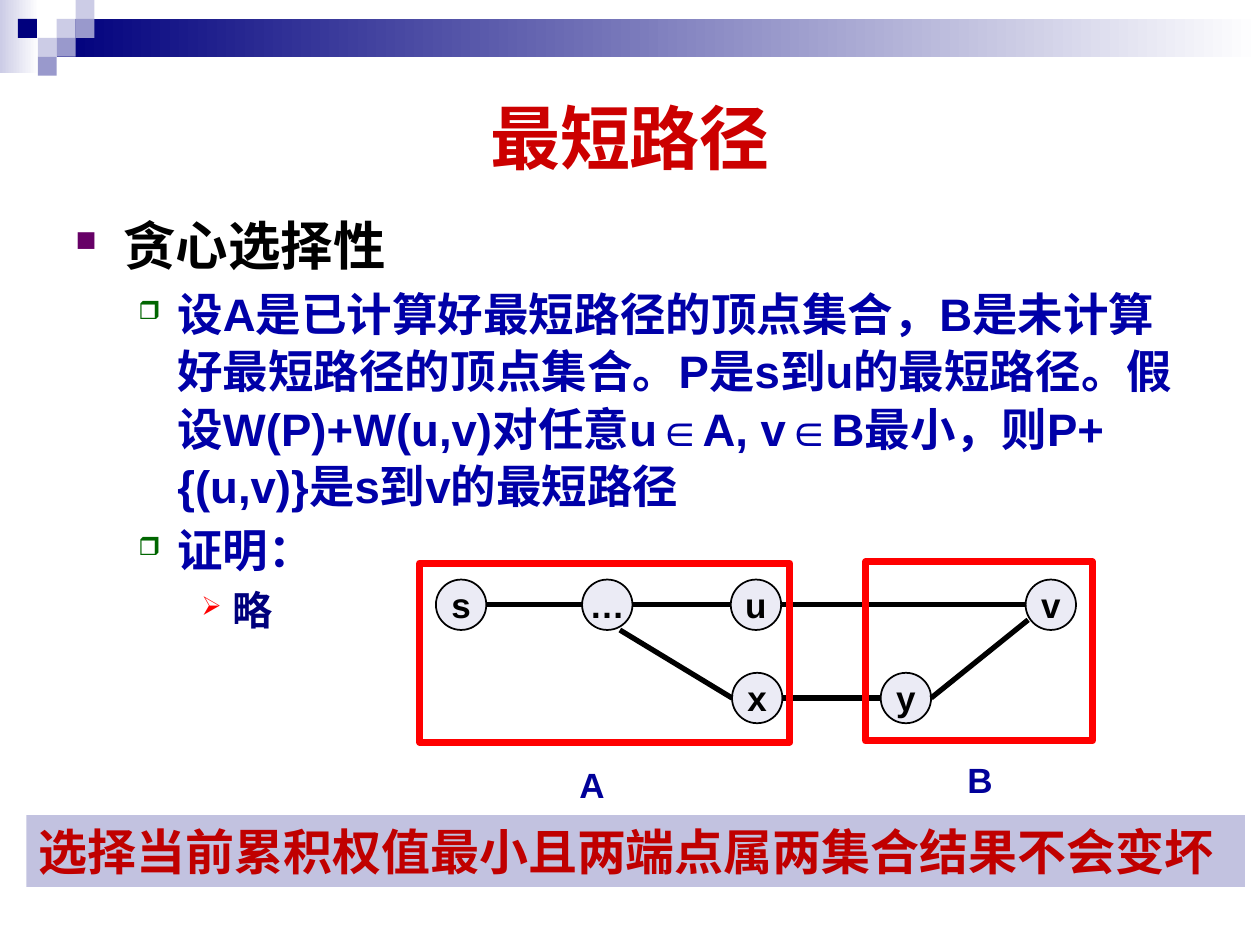
from lxml.etree import SubElement
from pptx import Presentation
from pptx.dml.color import RGBColor
from pptx.enum.shapes import MSO_CONNECTOR as Link, MSO_SHAPE as Shape
from pptx.enum.text import MSO_ANCHOR as Anchor, PP_ALIGN as Align
from pptx.oxml.ns import qn
from pptx.util import Inches, Pt

COLORS = {
    "navy": "00007D", "lilac": "CCCCE6", "violet": "9999CC", "white": "FFFFFF",
    "title": "CC0000", "black": "000000", "purple": "660066", "green": "006600",
    "blue": "0000A8", "red": "FF0000", "band": "C2C2E0", "crimson": "C00000",
    "node": "EBEBF5", "label": "000099",
}
COLUMNS, ROWS = 100, 75
CJK = "Noto Sans CJK SC"


def rgb(name):
    return RGBColor.from_string(COLORS[name])


class Page:
    def __init__(self, deck):
        self.slide = deck.slides.add_slide(deck.slide_layouts[6])
        self.shapes = self.slide.shapes
        self.column = deck.slide_width / COLUMNS
        self.row = deck.slide_height / ROWS

    def place(self, *lengths):
        units = (self.column, self.row) * 2
        return [round(length * unit) for length, unit in zip(lengths, units)]

    def shape(self, kind, area, fill=None, line=None, weight=1):
        box = self.shapes.add_shape(kind, *self.place(*area))
        box.shadow.inherit = False
        if isinstance(fill, tuple):
            box.fill.gradient()
            box.fill.gradient_angle = 0
            for stop, name, position in zip(box.fill.gradient_stops, fill, (0, 1)):
                stop.color.rgb = rgb(name)
                stop.position = position
        elif fill:
            box.fill.solid()
            box.fill.fore_color.rgb = rgb(fill)
        else:
            box.fill.background()
        if line:
            box.line.color.rgb = rgb(line)
            box.line.width = Pt(weight)
        else:
            box.line.fill.background()
        return box

    def frame(self, box, wrap=False, anchor=Anchor.TOP):
        for name, value in {"word_wrap": wrap, "vertical_anchor": anchor}.items():
            setattr(box.text_frame, name, value)
        return box.text_frame

    def textbox(self, area, **layout):
        return self.frame(self.shapes.add_textbox(*self.place(*area)), **layout)

    def text(self, para, words, size, color, font="Arial", align=Align.LEFT):
        para.alignment = align
        span = para.add_run()
        span.text = words
        for name, value in {"name": font, "size": Pt(size), "bold": True}.items():
            setattr(span.font, name, value)
        span.font.color.rgb = rgb(color)
        SubElement(span._r.get_or_add_rPr(), qn("a:ea"), typeface=CJK)

    def bullet(self, para, words, size, color, mark, mark_color, share, indent, hang):
        self.text(para, words, size, color)
        para.line_spacing = 1.05
        para.space_before = Pt(round(size * 0.15, 1))
        props = para._p.get_or_add_pPr()
        props.set("marL", str(Inches(indent)))
        props.set("indent", str(-Inches(hang)))
        tint = SubElement(props, qn("a:buClr"))
        SubElement(tint, qn("a:srgbClr"), val=COLORS[mark_color])
        SubElement(props, qn("a:buSzPct"), val=str(share * 1000))
        SubElement(props, qn("a:buChar"), char=mark)

    def node(self, name, left, top):
        box = self.shape(Shape.OVAL, (left, top, NODE, NODE), "node", "black")
        para = self.frame(box, anchor=Anchor.MIDDLE).paragraphs[0]
        self.text(para, name, 20, "black", align=Align.CENTER)

    def edge(self, start, end):
        edge = self.shapes.add_connector(Link.STRAIGHT, *self.place(*start, *end))
        edge.line.color.rgb = rgb("black")
        edge.line.width = Pt(3)
        SubElement(edge._element.spPr, qn("a:effectLst"))


deck = Presentation()
deck.slide_width, deck.slide_height = Inches(10), Inches(7.5)
page = Page(deck)

TILE = 1.5
page.shape(Shape.RECTANGLE, (0, 0, 3.1, 5.8), ("lilac", "white"))
page.shape(Shape.RECTANGLE, (4.5, TILE, 95.5, 3), ("navy", "white"))
tiles = [(3, 1, "lilac"), (4, 0, "lilac"), (4, 1, "violet"), (2, 2, "lilac"),
         (0.95, 1, "navy"), (3, 2, "violet"), (2, 3, "violet")]
for column, row, color in tiles:
    page.shape(Shape.RECTANGLE, (column * TILE, row * TILE, TILE, TILE), color)

title = page.textbox((5, 5, 90, 11.6), wrap=True, anchor=Anchor.MIDDLE)
page.text(title.paragraphs[0], "最短路径", 40, "title", align=Align.CENTER)

LEVELS = [
    (30, "black", "■", "purple", 55, 0.38, 0.38),
    (26, "blue", "❒", "green", 55, 0.81, 0.31),
    (23, "navy", "➢", "red", 65, 1.25, 0.25),
]
points = [
    (0, "贪心选择性"),
    (1, "设A是已计算好最短路径的顶点集合，B是未计算好最短路径的顶点集合。"
        "P是s到u的最短路径。假设W(P)+W(u,v)对任意u∈A, v∈B最小，"
        "则P+{(u,v)}是s到v的最短路径"),
    (1, "证明："),
    (2, "略"),
]
body = page.textbox((5, 16.2, 90, 52), wrap=True)
for index, (level, words) in enumerate(points):
    para = body.add_paragraph() if index else body.paragraphs[0]
    para.level = level
    page.bullet(para, words, *LEVELS[level])

band = page.shape(Shape.RECTANGLE, (2.1, 64.7, 96.7, 5.7), "band")
page.text(page.frame(band).paragraphs[0],
          "选择当前累积权值最小且两端点属两集合结果不会变坏", 28, "crimson", CJK)

NODE = 4
UPPER, LOWER = 46, 53.4
nodes = {"s": (34.6, UPPER), "…": (46.2, UPPER), "u": (58, UPPER),
         "v": (81.4, UPPER), "x": (58.1, LOWER), "y": (69.9, LOWER)}
SITES = {"left": (0, 0.5), "right": (1, 0.5), "bottom": (0.75, 1), "corner": (0.05, 0.8)}
edges = [("s", "right", "…", "left"), ("…", "right", "u", "left"),
         ("u", "right", "v", "left"), ("x", "right", "y", "left"),
         ("y", "right", "v", "corner"), ("…", "bottom", "x", "left")]


def site(name, side):
    return [start + share * NODE for start, share in zip(nodes[name], SITES[side])]


for name, spot in nodes.items():
    page.node(name, *spot)
for source, leaving, target, arriving in edges:
    page.edge(site(source, leaving), site(target, arriving))

sets = [("A", (33.3, 44.7, 29.4, 14.2), (45, 60.1)),
        ("B", (68.7, 44.6, 18, 14.2), (75.8, 59.7))]
for name, area, spot in sets:
    page.shape(Shape.RECTANGLE, area, line="red", weight=4)
    label = page.textbox((*spot, 4.1, 4.4))
    page.text(label.paragraphs[0], name, 20, "label")

deck.save("out.pptx")
